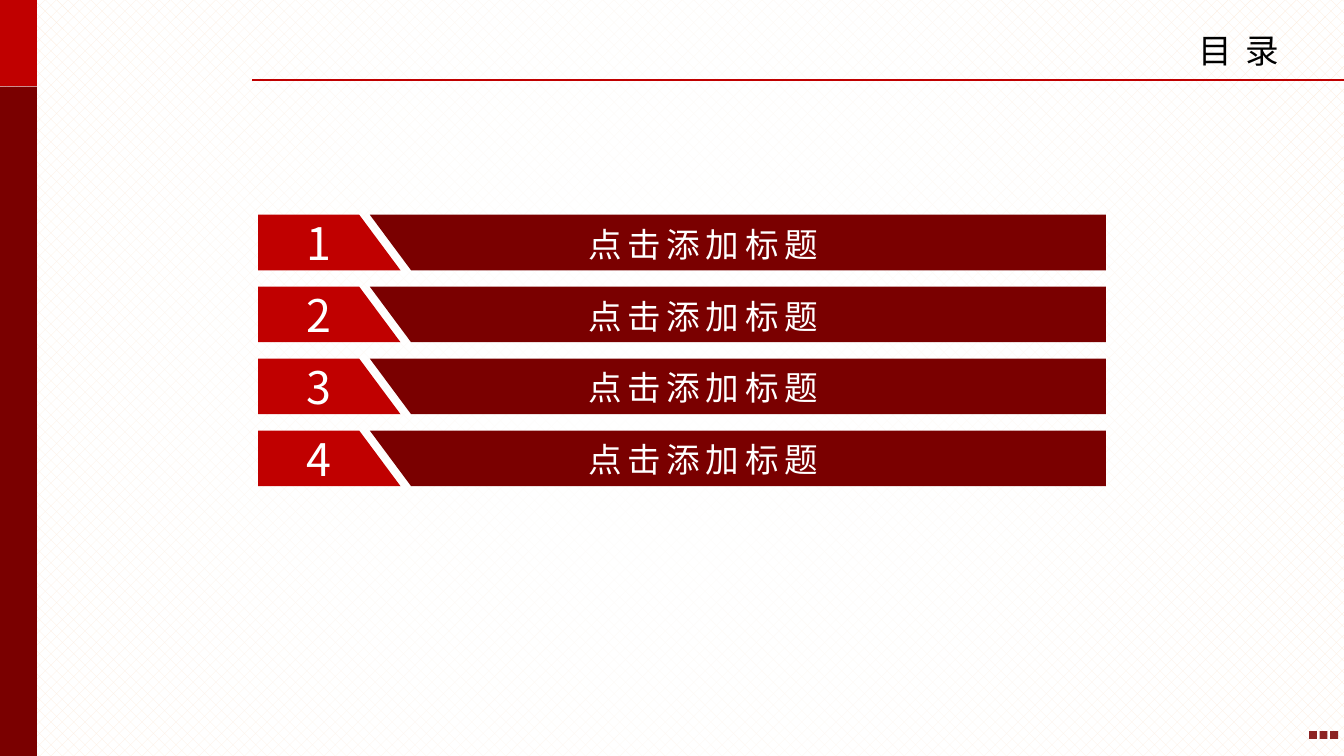
from lxml.etree import SubElement
from pptx import Presentation
from pptx.dml.color import RGBColor
from pptx.enum.dml import MSO_PATTERN
from pptx.enum.shapes import MSO_CONNECTOR, MSO_SHAPE
from pptx.enum.text import MSO_ANCHOR, MSO_AUTO_SIZE, PP_ALIGN
from pptx.oxml import parse_xml
from pptx.oxml.ns import nsdecls, qn
from pptx.util import Cm, Pt

RED = RGBColor(0xC0, 0x00, 0x00)
DARK_RED = RGBColor(0x7A, 0x00, 0x00)
CREAM = RGBColor(0xFD, 0xEA, 0xDA)
WHITE = RGBColor(0xFF, 0xFF, 0xFF)
BLACK = RGBColor(0x00, 0x00, 0x00)
FONT = "Noto Sans CJK SC"
WIDTH, HEIGHT = 25.4, 14.29
ENTRIES = ["点击添加标题"] * 4


class SlideBuilder:
    """Holds the page and its style; all lengths are in centimetres."""

    def __init__(self, page):
        self.page = page
        self.shapes = page.shapes

    def paint(self, shape, color):
        shape.shadow.inherit = False
        shape.line.fill.background()
        shape.fill.solid()
        shape.fill.fore_color.rgb = color

    def rectangle(self, left, top, width, height, color, opacity=100):
        box = self.shapes.add_shape(
            MSO_SHAPE.RECTANGLE, Cm(left), Cm(top), Cm(width), Cm(height))
        self.paint(box, color)
        if opacity < 100:
            tint = box.element.spPr.find(".//" + qn("a:srgbClr"))
            SubElement(tint, qn("a:alpha"), val=str(opacity * 1000))
        return box

    def weave(self):
        fill = self.rectangle(0, 0, WIDTH, HEIGHT, WHITE).fill
        fill.patterned()
        fill.pattern = MSO_PATTERN.WEAVE
        fill.fore_color.rgb = CREAM
        fill.back_color.rgb = WHITE

    def glow(self, stops):
        """White radial veil; stops are (position, opacity) percentages."""
        box = self.rectangle(0, 0, WIDTH, HEIGHT, WHITE)
        marks = "".join(
            f'<a:gs pos="{position * 1000}"><a:srgbClr val="{WHITE}">'
            f'<a:alpha val="{opacity * 1000}"/></a:srgbClr></a:gs>'
            for position, opacity in stops)
        gradient = parse_xml(
            f'<a:gradFill {nsdecls("a")} rotWithShape="1"><a:gsLst>{marks}</a:gsLst>'
            '<a:path path="circle"><a:fillToRect l="50000" t="50000" r="50000" '
            'b="50000"/></a:path></a:gradFill>')
        solid = box.element.spPr.find(qn("a:solidFill"))
        solid.getparent().replace(solid, gradient)

    def rule(self, left, right, y, color, weight):
        line = self.shapes.add_connector(
            MSO_CONNECTOR.STRAIGHT, Cm(left), Cm(y), Cm(right), Cm(y))
        line.line.color.rgb = color
        line.line.width = Pt(weight)
        SubElement(line.element.spPr, qn("a:effectLst"))

    def outline(self, shapes, points, color):
        corners = [(Cm(x), Cm(y)) for x, y in points]
        builder = shapes.build_freeform(*corners[0])
        builder.add_line_segments(corners[1:], close=True)
        self.paint(builder.convert_to_shape(), color)

    def add_text(self, box, text, size, color, spacing=0, align=PP_ALIGN.LEFT, wrap=False):
        frame = box.text_frame
        frame.word_wrap = wrap
        frame.auto_size = MSO_AUTO_SIZE.NONE
        frame.vertical_anchor = MSO_ANCHOR.TOP
        para = frame.paragraphs[0]
        para.alignment = align
        span = para.add_run()
        span.text = text
        span.font.size = Pt(size)
        span.font.name = FONT
        span.font.color.rgb = color
        properties = box.element.find(".//" + qn("a:rPr"))
        SubElement(properties, qn("a:ea"), typeface=FONT)
        if spacing:
            properties.set("spc", str(int(spacing * 100)))

    def title(self, text, left, top, width, height):
        box = self.shapes.title
        box.left, box.top, box.width, box.height = map(Cm, (left, top, width, height))
        self.add_text(box, text, 18, BLACK, 1.5, PP_ALIGN.RIGHT, wrap=True)
        # Bring the title in front of the backdrop
        box.element.getparent().append(box.element)

    def entry(self, number, text, top):
        shapes = self.shapes.add_group_shape().shapes
        bottom = top + 1.05
        self.outline(shapes, [(6.99, top), (20.9, top), (20.9, bottom), (7.77, bottom)],
                     DARK_RED)
        self.outline(shapes, [(4.88, top), (6.79, top), (7.57, bottom), (4.88, bottom)],
                     RED)
        label = shapes.add_textbox(Cm(5.54), Cm(top - 0.1), Cm(1.02), Cm(1.28))
        self.add_text(label, str(number), 24, WHITE)
        caption = shapes.add_textbox(Cm(10.87), Cm(top + 0.04), Cm(5), Cm(1.02))
        self.add_text(caption, text, 18, WHITE, 3)


def main():
    deck = Presentation()
    deck.slide_width, deck.slide_height = Cm(WIDTH), Cm(HEIGHT)
    builder = SlideBuilder(deck.slides.add_slide(deck.slide_layouts[5]))

    # Backdrop
    builder.weave()
    builder.glow([(0, 100), (47, 63), (100, 0)])

    # Header line, side band and corner squares
    builder.rule(4.77, WIDTH, 1.51, RED, 0.75)
    builder.rectangle(0, 1.64, 0.7, HEIGHT - 1.64, DARK_RED)
    builder.rectangle(0, 0, 0.7, 1.63, RED)
    for index in range(3):
        builder.rectangle(24.74 + 0.2 * index, 13.82, 0.15, 0.15, DARK_RED, 86)

    # Title
    builder.title("目 录", 20.52, 0.43, 3.91, 1.02)

    # Contents rows
    for index, text in enumerate(ENTRIES):
        builder.entry(index + 1, text, 4.06 + 1.36 * index)

    deck.save("out.pptx")


if __name__ == "__main__":
    main()
